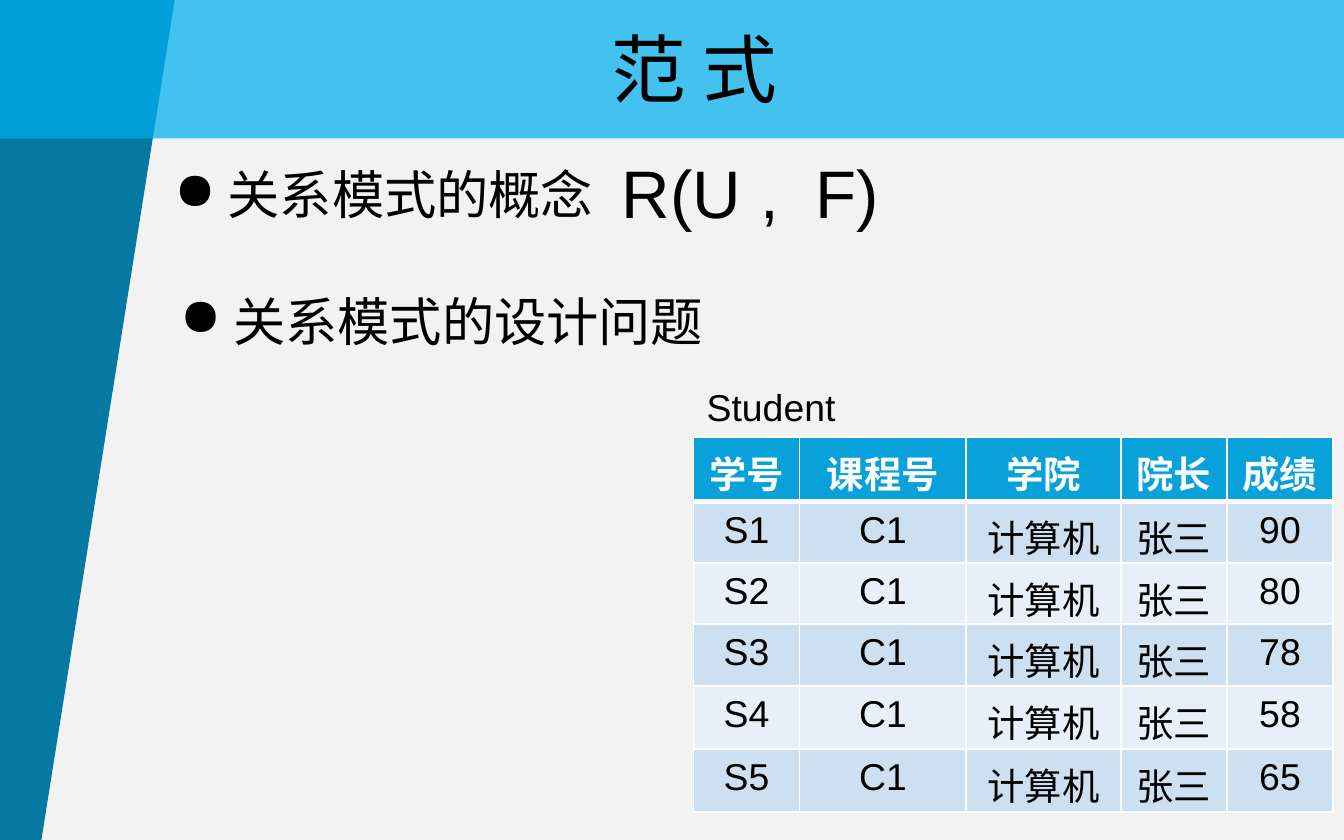
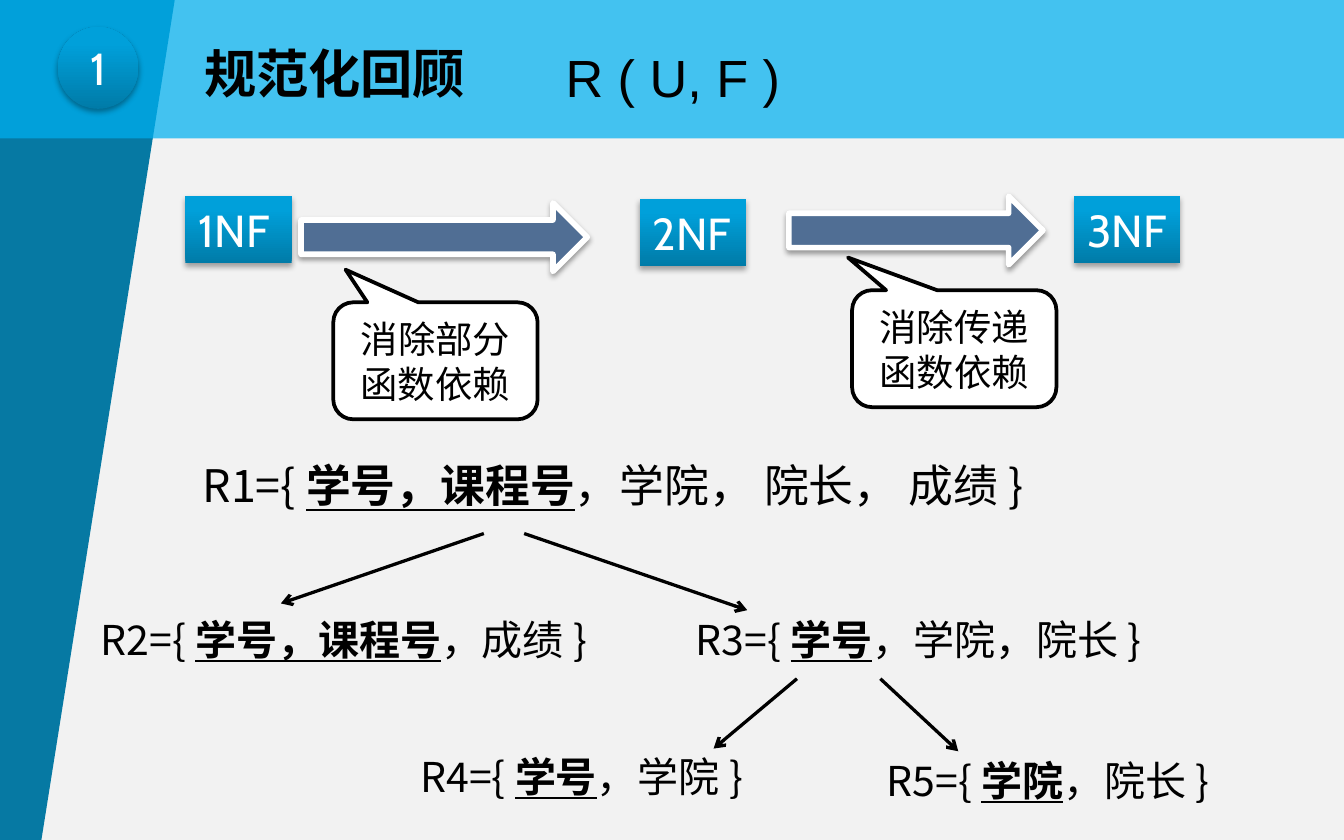
import dataclasses

import lxml.etree
import pptx
import pptx.dml.color
import pptx.enum.shapes
import pptx.enum.text
import pptx.oxml.ns
import pptx.util

Inches = pptx.util.Inches
Pt = pptx.util.Pt
RGB = pptx.dml.color.RGBColor.from_string
qn = pptx.oxml.ns.qn
Align = pptx.enum.text.PP_ALIGN
Shape = pptx.enum.shapes.MSO_SHAPE
MIDDLE = pptx.enum.text.MSO_ANCHOR.MIDDLE
FIT = pptx.enum.text.MSO_AUTO_SIZE.SHAPE_TO_FIT_TEXT


@dataclasses.dataclass(frozen=True)
class Theme:
    # Colours
    paper: str = "F2F2F2"
    side: str = "0679A3"
    band: str = "00B0F0"
    header: str = "08A1D9"
    rows: tuple = ("CCE0F1", "E7F0F8")
    glow: tuple = ((0, "007BA8"), (80, "00A0DA"), (100, "00A0DB"))
    arrow: str = "506E94"
    ink: str = "000000"
    white: str = "FFFFFF"
    # Fonts
    latin: str = "Arial"
    label: str = "Cabin"
    chinese: str = "Noto Sans CJK SC"
    # Type sizes
    title: int = 40
    formula: int = 36
    heading: int = 28
    body: int = 24
    detail: int = 22
    small: int = 20


def put(target, values):
    for name, value in values.items():
        setattr(target, name, value)


def child(parent, tag, **attributes):
    return lxml.etree.SubElement(parent, qn(tag), attributes)


def box(*lengths):
    return [Inches(length) for length in lengths]


class Deck:
    def __init__(self, theme):
        self.theme = theme
        self.prs = pptx.Presentation()
        put(self.prs, {"slide_width": Inches(10), "slide_height": Inches(6.25)})
        backdrop = self.prs.slide_master.background.fill
        backdrop.solid()
        backdrop.fore_color.rgb = RGB(theme.paper)
        self.slide = None

    def new_slide(self):
        """Start a slide with the side wedge and the translucent top band."""
        self.slide = self.prs.slides.add_slide(self.prs.slide_layouts[6])
        outline = self.slide.shapes.build_freeform(*box(-0.01, 6.29))
        outline.add_line_segments([box(-0.01, -0.01), box(1.3, 0), box(0.3, 6.3)])
        self.paint(outline.convert_to_shape(), self.theme.side)
        band = self.shape(Shape.RECTANGLE, (-0.01, 0, 10.01, 1.03), self.theme.band)
        colour = band._element.spPr.find(qn("a:solidFill"))[0]
        child(colour, "a:alpha", val="72000")

    # Fills, lines and shadows
    def paint(self, shape, fill, line=None, width=0, shadow=None):
        if isinstance(fill, str):
            shape.fill.solid()
            shape.fill.fore_color.rgb = RGB(fill)
        else:
            shape.fill.background()
            self.gradient(shape._element.spPr, fill)
        if line:
            shape.line.color.rgb = RGB(line)
            shape.line.width = Pt(width)
        else:
            shape.line.fill.background()
        shape.shadow.inherit = False
        if shadow:
            opacity, distance = shadow
            effects = shape._element.spPr.find(qn("a:effectLst"))
            outer = child(effects, "a:outerShdw", blurRad=str(Pt(3.1)),
                          dist=str(Pt(distance)), dir="5400000",
                          algn="ctr", rotWithShape="0")
            colour = child(outer, "a:srgbClr", val=self.theme.ink)
            child(colour, "a:alpha", val=str(opacity * 1000))

    def gradient(self, properties, stops):
        fill = child(properties, "a:gradFill", rotWithShape="1")
        stop_list = child(fill, "a:gsLst")
        for position, colour in stops:
            stop = child(stop_list, "a:gs", pos=str(position * 1000))
            child(stop, "a:srgbClr", val=colour)
        child(fill, "a:lin", ang="16200000", scaled="0")
        properties.replace(properties.find(qn("a:noFill")), fill)

    # Text
    def fill_text(self, frame, runs, size, font=None, colour=None,
                  align=Align.JUSTIFY, bullet=None):
        """Fill the first paragraph; runs is a string or (text, is_key) pairs."""
        paragraph = frame.paragraphs[0]
        paragraph.alignment = align
        if bullet:
            properties = paragraph._p.get_or_add_pPr()
            properties.set("marL", str(Inches(0.31)))
            properties.set("indent", str(Inches(-0.31)))
            child(properties, "a:buChar", char=bullet)
        for text, is_key in [(runs, None)] if isinstance(runs, str) else runs:
            run = paragraph.add_run()
            run.text = text
            run.font.color.rgb = RGB(colour or self.theme.ink)
            put(run.font, {"name": font or self.theme.latin, "size": Pt(size),
                           "bold": is_key, "underline": is_key})
            child(run._r.get_or_add_rPr(), "a:ea", typeface=self.theme.chinese)
        return paragraph

    def text(self, place, runs, size, wrap=True, **style):
        frame = self.slide.shapes.add_textbox(*box(*place)).text_frame
        put(frame, {"word_wrap": wrap, "auto_size": FIT})
        return self.fill_text(frame, runs, size, **style)

    def title(self, words):
        frame = self.slide.shapes.add_textbox(*box(1.31, 0.01, 7.71, 0.99)).text_frame
        put(frame, {"word_wrap": True, "vertical_anchor": MIDDLE})
        self.fill_text(frame, words, self.theme.title, align=Align.CENTER)

    def bullet(self, place, words):
        self.text(place, words, self.theme.heading,
                  font=self.theme.chinese, bullet="●")

    def relation(self, place, name, key, others, size):
        """A relation with its key attributes bold and underlined."""
        runs = [(name + "={ ", False), (key, True), (others + " }", False)]
        self.text(place, runs, size, font=self.theme.chinese)

    # Shapes
    def shape(self, kind, place, fill, **look):
        shape = self.slide.shapes.add_shape(kind, *box(*place))
        self.paint(shape, fill, **look)
        return shape

    def badge(self, kind, place, words, align, **frame_format):
        badge = self.shape(kind, place, self.theme.glow, shadow=(35, 1.8))
        put(badge.text_frame, {"word_wrap": False, **frame_format})
        self.fill_text(badge.text_frame, words, self.theme.body,
                       font=self.theme.label, colour=self.theme.white, align=align)

    def step(self, place):
        self.shape(Shape.RIGHT_ARROW, place, self.theme.arrow,
                   line=self.theme.white, width=3, shadow=(38, 1.6))

    def callout(self, left, top, pointer, words):
        callout = self.shape(Shape.ROUNDED_RECTANGULAR_CALLOUT,
                             (left, top, 1.52, 0.87), self.theme.white,
                             line=self.theme.ink, width=2)
        for index, value in enumerate((pointer, -0.78, 0.17)):
            callout.adjustments[index] = value
        put(callout.text_frame, {"word_wrap": True, "vertical_anchor": MIDDLE})
        self.fill_text(callout.text_frame, words, self.theme.small,
                       font=self.theme.label, align=Align.CENTER)

    def arrow(self, start, end):
        arrow = self.slide.shapes.add_connector(
            pptx.enum.shapes.MSO_CONNECTOR.STRAIGHT, *box(*start, *end))
        arrow.line.color.rgb = RGB(self.theme.ink)
        arrow.line.width = Pt(1.75)
        child(arrow._element.spPr.find(qn("a:ln")), "a:tailEnd", type="arrow")
        child(arrow._element.spPr, "a:effectLst")

    # Table
    def table(self, place, widths, heights, records):
        grid = self.slide.shapes.add_table(
            len(heights), len(widths), *box(*place)).table
        grid.horz_banding = False
        for column, width in zip(grid.columns, widths):
            column.width = Inches(width)
        for row, height in zip(grid.rows, heights):
            row.height = Inches(height)
        for r, record in enumerate(records):
            for c, value in enumerate(record):
                self.cell(grid.cell(r, c), value, r)

    def cell(self, cell, value, row):
        theme = self.theme
        is_header = row == 0
        put(cell, {"margin_top": Inches(0.06), "margin_bottom": Inches(0.06)})
        for side in "LRTB":
            thick = (side == "B" and row == 0) or (side == "T" and row == 1)
            border = child(cell._tc.get_or_add_tcPr(), "a:ln" + side,
                           w=str(Pt(3 if thick else 1)))
            child(child(border, "a:solidFill"), "a:srgbClr", val=theme.white)
        cell.fill.solid()
        cell.fill.fore_color.rgb = RGB(
            theme.header if is_header else theme.rows[(row - 1) % 2])
        paragraph = self.fill_text(cell.text_frame, value, theme.small,
                                   colour=theme.white if is_header else theme.ink,
                                   align=Align.CENTER)
        paragraph.runs[0].font.bold = is_header


def normal_forms(deck):
    theme = deck.theme
    deck.new_slide()
    deck.bullet((1.2, 1.16, 3.76, 0.57), " 关系模式的概念")
    deck.bullet((1.24, 2.1, 4.15, 0.57), " 关系模式的设计问题")

    # Student relation
    scores = (90, 80, 78, 58, 65)
    students = [(f"S{number}", "C1", "计算机", "张三", str(score))
                for number, score in enumerate(scores, 1)]
    deck.table((5.16, 3.25, 4.76, 2.79),
               (0.79, 1.24, 1.15, 0.79, 0.79),
               (0.48, 0.46, 0.45, 0.46, 0.47, 0.47),
               [("学号", "课程号", "学院", "院长", "成绩"), *students])
    deck.text((4.53, 1.08, 2.14, 0.71), "R(U ,  F)", theme.formula, wrap=False)
    deck.text((5.16, 2.81, 1.17, 0.44), "Student", theme.small, wrap=False)
    deck.title("范 式")


def normalization_review(deck):
    theme = deck.theme
    deck.new_slide()

    # Heading
    deck.badge(Shape.OVAL, (0.43, 0.2, 0.6, 0.61), "1", Align.CENTER,
               vertical_anchor=MIDDLE)
    heading = deck.text((1.42, 0.26, 2.17, 0.57), "规范化回顾", theme.heading,
                        wrap=False, font=theme.chinese)
    heading.runs[0].font.bold = True
    deck.text((4.11, 0.29, 2.1, 0.57), "R ( U, F )", theme.heading)

    # Normal forms and the steps between them
    for form, left, top in (("1NF", 1.38, 1.46), ("2NF", 4.76, 1.48),
                            ("3NF", 7.99, 1.46)):
        deck.badge(Shape.RECTANGLE, (left, top, 0.79, 0.5), form, Align.JUSTIFY,
                   auto_size=FIT, vertical_anchor=pptx.enum.text.MSO_ANCHOR.TOP)
    deck.step((2.24, 1.51, 2.13, 0.51))
    deck.step((5.87, 1.46, 1.89, 0.51))
    deck.callout(2.48, 2.25, -0.44, "消除部分函数依赖")
    deck.callout(6.34, 2.16, -0.52, "消除传递函数依赖")

    # Decomposition tree
    deck.relation((1.41, 3.36, 6.82, 0.5), "R1", "学号，课程号",
                  "，学院， 院长， 成绩", theme.body)
    for place, name, key, others in (
            ((0.65, 4.52, 4.03, 0.47), "R2", "学号，课程号", "，成绩"),
            ((5.08, 4.52, 4.01, 0.47), "R3", "学号", "，学院，院长"),
            ((3.03, 5.54, 2.78, 0.47), "R4", "学号", "，学院"),
            ((6.5, 5.57, 2.88, 0.47), "R5", "学院", "，院长")):
        deck.relation(place, name, key, others, theme.detail)
    for start, end in (((3.6, 3.97), (2.09, 4.49)), ((3.9, 3.97), (5.56, 4.54)),
                       ((5.93, 5.05), (5.31, 5.57)), ((6.55, 5.05), (7.13, 5.59))):
        deck.arrow(start, end)


def main():
    deck = Deck(Theme())
    normal_forms(deck)
    normalization_review(deck)
    deck.prs.save("out.pptx")


if __name__ == "__main__":
    main()
